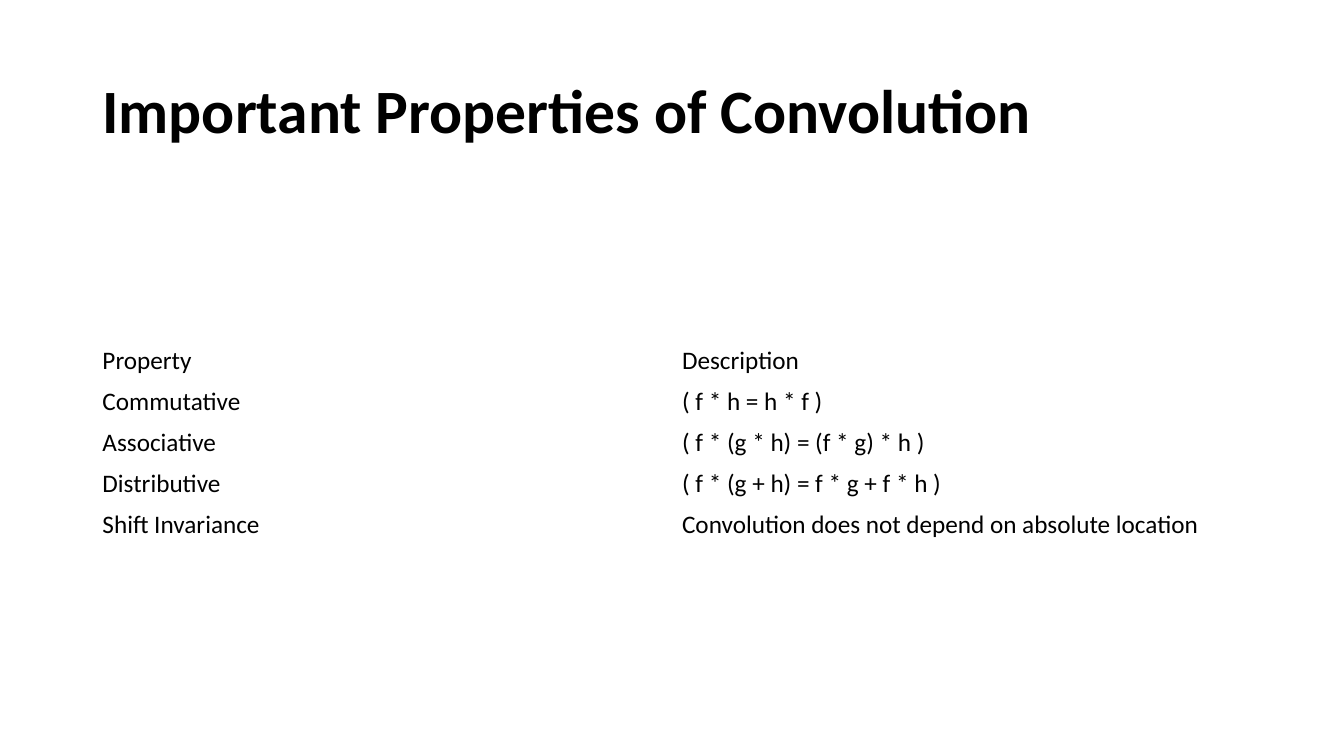
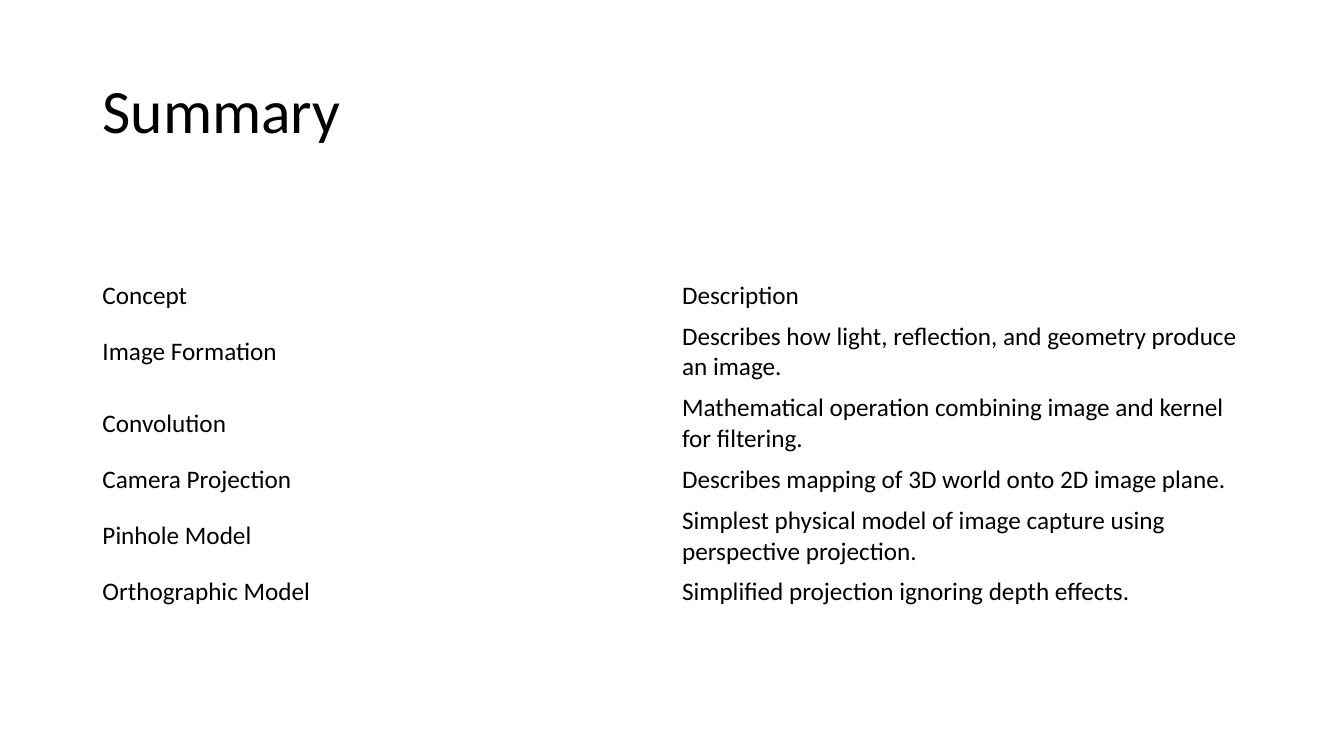
from dataclasses import dataclass
from math import ceil

from pptx import Presentation
from pptx.dml.color import RGBColor
from pptx.enum.text import MSO_ANCHOR, MSO_AUTO_SIZE, PP_ALIGN
from pptx.util import Inches, Pt

MIDDLE = MSO_ANCHOR.MIDDLE
NO_AUTOFIT = MSO_AUTO_SIZE.NONE
LEFT = PP_ALIGN.LEFT
TITLE_ONLY = 5

PROPERTIES = [
    ("Property", "Description"),
    ("Commutative", "( f * h = h * f )"),
    ("Associative", "( f * (g * h) = (f * g) * h )"),
    ("Distributive", "( f * (g + h) = f * g + f * h )"),
    ("Shift Invariance", "Convolution does not depend on absolute location"),
]
CONCEPTS = [
    ("Concept", "Description"),
    ("Image Formation",
     "Describes how light, reflection, and geometry produce an image."),
    ("Convolution",
     "Mathematical operation combining image and kernel for filtering."),
    ("Camera Projection", "Describes mapping of 3D world onto 2D image plane."),
    ("Pinhole Model",
     "Simplest physical model of image capture using perspective projection."),
    ("Orthographic Model", "Simplified projection ignoring depth effects."),
]


@dataclass(frozen=True)
class Theme:
    font: str = "Calibri"
    ink: RGBColor = RGBColor(0, 0, 0)
    paper: RGBColor = RGBColor(255, 255, 255)
    title_size: int = 44
    table_size: int = 18


class Lecture:
    """Holds the theme and current slide; lengths are in a 16 by 15 grid."""

    COLUMNS, ROWS = 16, 15
    MARGIN, CONTENT_WIDTH = 1.1, 13.8
    TITLE_TOP, TITLE_HEIGHT = 0.8, 2.9
    BODY_CENTRE = 8.76
    CELL_PADDING, LINE_HEIGHT = 0.2, 0.6
    LINE_LENGTH = 50

    def __init__(self, theme):
        self.theme = theme
        self.deck = Presentation()
        self.deck.slide_width = Inches(13.33)
        self.deck.slide_height = Inches(7.5)
        self.page = None

    def across(self, columns):
        return round(self.deck.slide_width * columns / self.COLUMNS)

    def down(self, rows):
        return round(self.deck.slide_height * rows / self.ROWS)

    def style(self, para, size, bold=False):
        para.alignment = LEFT
        font = para.font
        font.name, font.size, font.bold = self.theme.font, Pt(size), bold
        font.color.rgb = self.theme.ink

    def add_page(self, title, bold=False):
        self.page = self.deck.slides.add_slide(
            self.deck.slide_layouts[TITLE_ONLY])
        fill = self.page.background.fill
        fill.solid()
        fill.fore_color.rgb = self.theme.paper

        box = self.page.shapes.title
        box.left, box.top = self.across(self.MARGIN), self.down(self.TITLE_TOP)
        box.width = self.across(self.CONTENT_WIDTH)
        box.height = self.down(self.TITLE_HEIGHT)
        frame = box.text_frame
        frame.text = title
        frame.auto_size = NO_AUTOFIT
        frame.vertical_anchor = MIDDLE
        para = frame.paragraphs[0]
        para.line_spacing = 0.9
        self.style(para, self.theme.title_size, bold)

    def row_height(self, entry):
        """Return the height that the longest cell text needs."""
        lines = max(ceil(len(text) / self.LINE_LENGTH) for text in entry)
        return self.CELL_PADDING + self.LINE_HEIGHT * lines

    def add_table(self, entries):
        """Add a plain table centred vertically in the body area."""
        heights = [self.row_height(entry) for entry in entries]
        total = sum(heights)
        table = self.page.shapes.add_table(
            len(entries), len(entries[0]),
            self.across(self.MARGIN), self.down(self.BODY_CENTRE - total / 2),
            self.across(self.CONTENT_WIDTH), self.down(total)).table
        table.first_row = table.horz_banding = False
        for row, entry, height in zip(table.rows, entries, heights):
            row.height = self.down(height)
            for cell, text in zip(row.cells, entry):
                cell.text = text
                cell.fill.background()
                cell.vertical_anchor = MIDDLE
                self.style(cell.text_frame.paragraphs[0], self.theme.table_size)


def main():
    lecture = Lecture(Theme())
    lecture.add_page("Important Properties of Convolution", bold=True)
    lecture.add_table(PROPERTIES)
    lecture.add_page("Summary")
    lecture.add_table(CONCEPTS)
    lecture.deck.save("out.pptx")


if __name__ == "__main__":
    main()
